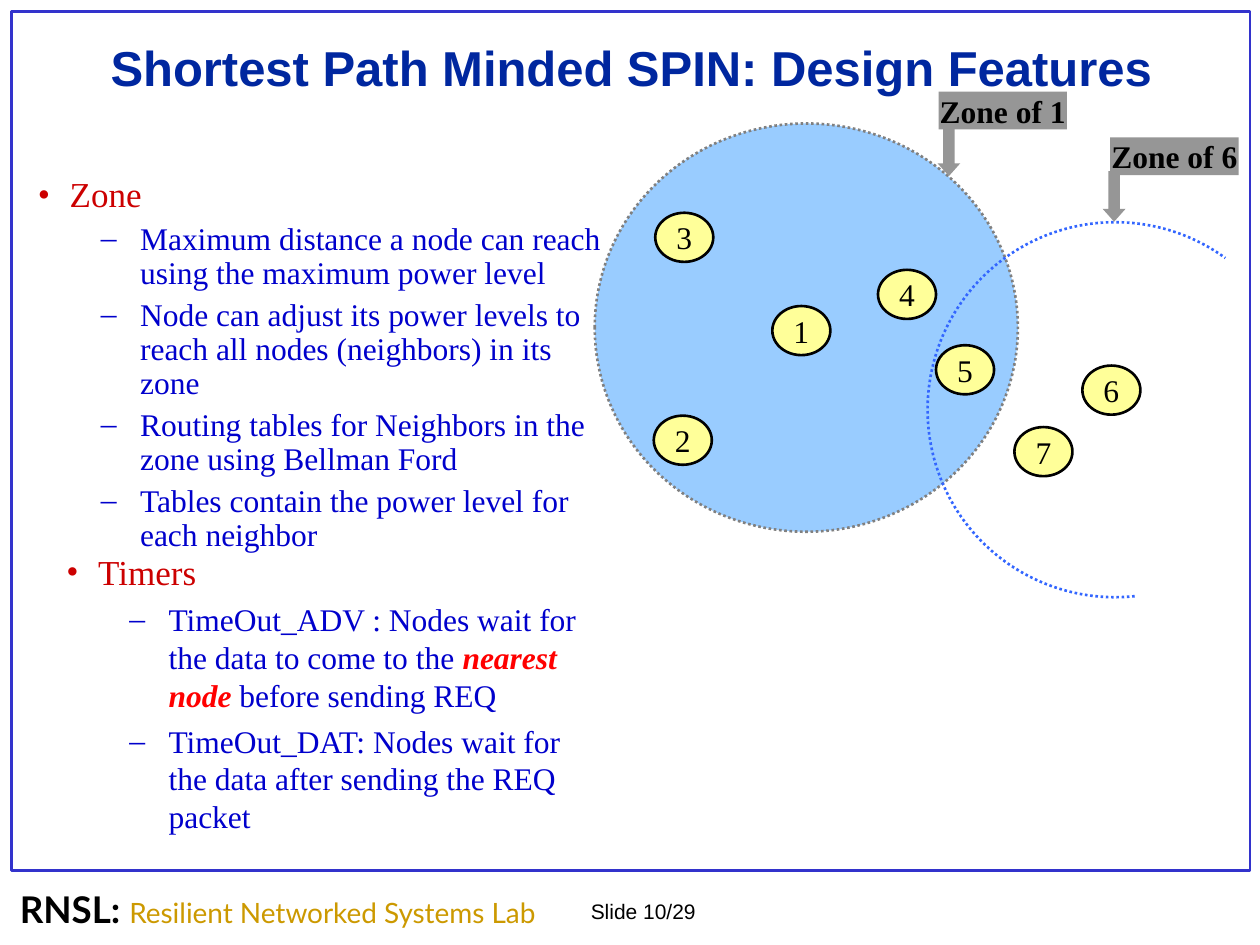
from lxml.etree import SubElement
from pptx import Presentation
from pptx.dml.color import RGBColor
from pptx.enum.dml import MSO_LINE
from pptx.enum.shapes import MSO_SHAPE
from pptx.enum.text import MSO_ANCHOR, MSO_AUTO_SIZE, PP_ALIGN
from pptx.oxml.ns import qn
from pptx.util import Cm, Pt

BLACK = RGBColor(0x00, 0x00, 0x00)
NAVY = RGBColor(0x00, 0x27, 0x9F)
BLUE = RGBColor(0x00, 0x00, 0xCC)
FRAME = RGBColor(0x33, 0x33, 0xCC)
ARC = RGBColor(0x33, 0x66, 0xFF)
SKY = RGBColor(0x99, 0xCC, 0xFF)
RED = RGBColor(0xCC, 0x00, 0x00)
BRIGHT = RGBColor(0xFF, 0x00, 0x00)
GOLD = RGBColor(0xCC, 0x99, 0x00)
YELLOW = RGBColor(0xFF, 0xFF, 0x99)
GREY = RGBColor(0x96, 0x96, 0x96)
EDGE = RGBColor(0x80, 0x80, 0x80)

# Per list level: bullet, colour, size, space before, margin and indent in cm
LEVELS = [
    ("•", RED, 20, 5, 0.64, -0.64),
    ("–", BLUE, 18, 4.5, 2.06, -0.79),
]

ZONE = [
    (0, ["Zone"]),
    (1, ["Maximum distance a node can reach using the maximum power level"]),
    (1, ["Node can adjust its power levels to reach all nodes (neighbors) in its zone"]),
    (1, ["Routing tables for Neighbors in the zone using Bellman Ford"]),
    (1, ["Tables contain the power level for each neighbor"]),
]
# Every second part of an item is stressed
TIMERS = [
    (0, ["Timers"]),
    (1, ["TimeOut_ADV : Nodes wait for the data to come to the ",
         "nearest node", " before sending REQ"]),
    (1, ["TimeOut_DAT: Nodes wait for the data after sending the REQ packet"]),
]
OUTER = [("6", 21.82, 7.37), ("7", 20.45, 8.61)]
INNER = [("4", 17.7, 5.44), ("5", 18.87, 6.96), ("1", 15.57, 6.17),
         ("2", 13.18, 8.38), ("3", 13.21, 4.29)]


class Board:
    serif = "Times New Roman"
    sans = "Arial"
    width = Pt(1.5)

    def __init__(self, slide):
        self.slide = slide

    def font(self, font, size, color, name=serif, bold=False):
        font.size, font.name, font.bold = Pt(size), name, bold
        font.color.rgb = color

    def place(self, shape, box):
        shape.left, shape.top, shape.width, shape.height = map(Cm, box)
        frame = shape.text_frame
        frame.auto_size = MSO_AUTO_SIZE.NONE
        frame.word_wrap = True
        return frame

    def title(self, text, box):
        frame = self.place(self.slide.shapes.title, box)
        frame.vertical_anchor = MSO_ANCHOR.MIDDLE
        para = frame.paragraphs[0]
        para.text = text
        para.alignment = PP_ALIGN.CENTER
        self.font(para.font, 28, NAVY, self.sans, True)

    def text(self, box):
        return self.place(self.slide.shapes.add_textbox(0, 0, 0, 0), box)

    def bullet(self, para, mark, color, margin, indent):
        props = para._p.get_or_add_pPr()
        props.set("marL", str(Cm(margin)))
        props.set("indent", str(Cm(indent)))
        tint = SubElement(props, qn("a:buClr"))
        SubElement(tint, qn("a:srgbClr"), val=str(color))
        SubElement(props, qn("a:buFont"), typeface=self.serif)
        SubElement(props, qn("a:buChar"), char=mark)

    def items(self, frame, items, spacing):
        for i, (level, parts) in enumerate(items):
            para = frame.add_paragraph() if i else frame.paragraphs[0]
            mark, color, size, before, margin, indent = LEVELS[level]
            self.bullet(para, mark, color, margin, indent)
            para.level = level
            para.line_spacing = spacing
            para.space_before = Pt(before)
            self.font(para.font, size, color)
            for j, part in enumerate(parts):
                run = para.add_run()
                run.text = part
                if j % 2:
                    run.font.bold = run.font.italic = True
                    run.font.color.rgb = BRIGHT

    def shape(self, kind, box, fill=None, line=None, dash=None):
        shape = self.slide.shapes.add_shape(kind, *map(Cm, box))
        shape.shadow.inherit = False
        if fill is None:
            shape.fill.background()
        else:
            shape.fill.solid()
            shape.fill.fore_color.rgb = fill
        if line is None:
            shape.line.fill.background()
        else:
            shape.line.color.rgb = line
            shape.line.width = self.width
            shape.line.dash_style = dash
        return shape

    def label(self, shape, text, bold=False):
        frame = shape.text_frame
        frame.word_wrap = False
        frame.vertical_anchor = MSO_ANCHOR.MIDDLE
        para = frame.paragraphs[0]
        para.text = text
        para.alignment = PP_ALIGN.CENTER
        self.font(para.font, 18, BLACK, bold=bold)

    def nodes(self, nodes):
        for text, x, y in nodes:
            oval = self.shape(MSO_SHAPE.OVAL, (x, y, 1.17, 0.99), YELLOW, BLACK)
            self.label(oval, text)

    def arc(self, box, start, end):
        """Draw a dotted arc clockwise between two angles in degrees."""
        arc = self.shape(MSO_SHAPE.ARC, box, line=ARC, dash=MSO_LINE.ROUND_DOT)
        for i, angle in enumerate((start, end)):
            arc.adjustments[i] = angle * 0.6

    def flag(self, text, x, y, tip):
        """Draw a label at x, y with an arrow down from it at tip."""
        arrow = self.shape(MSO_SHAPE.DOWN_ARROW, (tip, y + 0.68, 0.46, 1.02), GREY)
        arrow.adjustments[1] = 0.56
        box = self.shape(MSO_SHAPE.RECTANGLE, (x, y, 2.59, 0.76), GREY)
        self.label(box, text, True)

    def footer(self):
        para = self.text((11.66, 17.98, 4.09, 0.76)).paragraphs[0]
        para.text = "Slide 10/29"
        self.font(para.font, 12, BLACK, self.sans)
        para = self.text((0.15, 17.93, 12.42, 1.52)).paragraphs[0]
        para.line_spacing = 0.8
        for text, size, color, bold in (
            ("RNSL: ", 21, BLACK, True),
            ("Resilient Networked Systems Lab", 16, GOLD, False),
        ):
            run = para.add_run()
            run.text = text
            self.font(run.font, size, color, "Lato", bold)


def main():
    deck = Presentation()
    deck.slide_width, deck.slide_height = Cm(25.4), Cm(19.05)
    slide = deck.slides.add_slide(deck.slide_layouts[1])
    board = Board(slide)

    board.shape(MSO_SHAPE.RECTANGLE, (0.23, 0.23, 24.97, 17.32), line=FRAME)
    board.footer()
    board.title("Shortest Path Minded SPIN: Design Features", (0.61, 0.61, 24.23, 1.47))
    body = board.place(slide.placeholders[1], (0.51, 3.45, 12.04, 8.64))
    board.items(body, ZONE, 0.9)
    board.items(board.text((1.09, 10.97, 10.87, 6.27)), TIMERS, 1.0)

    board.nodes(OUTER)
    board.shape(MSO_SHAPE.OVAL, (11.99, 2.49, 8.53, 8.23), SKY, EDGE, MSO_LINE.ROUND_DOT)
    board.nodes(INNER)
    board.arc((18.7, 4.48, 7.56, 7.56), 84, 306)
    board.flag("Zone of 1", 18.92, 1.85, 18.9)
    board.flag("Zone of 6", 22.38, 2.77, 22.23)
    deck.save("out.pptx")


if __name__ == "__main__":
    main()
